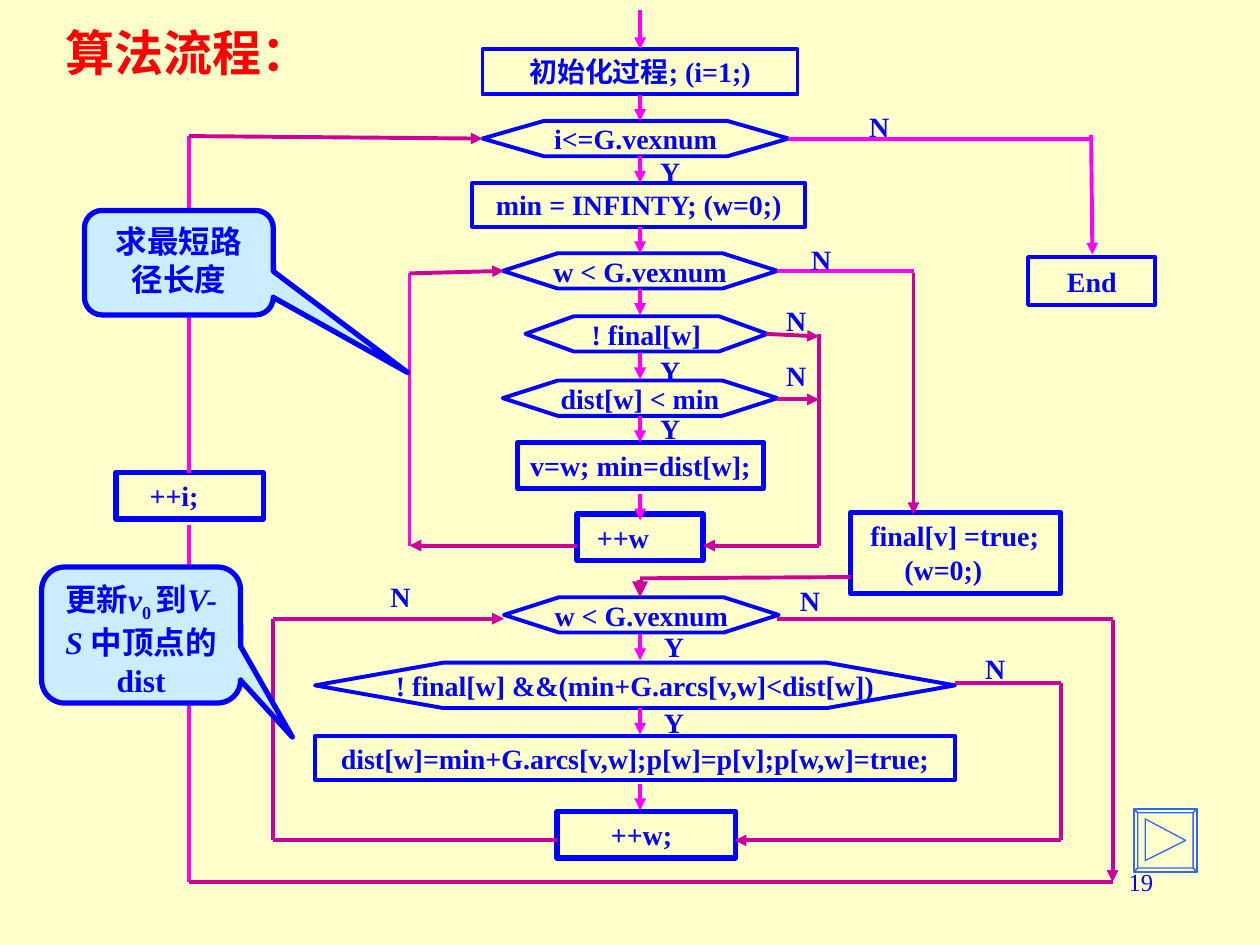
from lxml import etree
from pptx import Presentation
from pptx import util as u
from pptx.dml import color
from pptx.enum import shapes, text
from pptx.oxml import ns

COLORS = {"back": "FFFFCC", "blue": "0000FF", "pink": "FF00FF", "plum": "CC0099",
          "pale": "CCECFF", "red": "FF0000", "button": "3366FF"}
FONT = "Times New Roman"
PREP = shapes.MSO_SHAPE.FLOWCHART_PREPARATION
PROC = shapes.MSO_SHAPE.FLOWCHART_PROCESS
RECT = shapes.MSO_SHAPE.RECTANGLE
CALLOUT = shapes.MSO_SHAPE.ROUNDED_RECTANGULAR_CALLOUT
LEFT, CENTER, RIGHT = text.PP_ALIGN.LEFT, text.PP_ALIGN.CENTER, text.PP_ALIGN.RIGHT
MIDDLE, TOP = text.MSO_ANCHOR.MIDDLE, text.MSO_ANCHOR.TOP


def rgb(name):
    return color.RGBColor.from_string(COLORS[name])


class Flow:
    def __init__(self, s):
        self.s = s
        s.background.fill.solid()
        s.background.fill.fore_color.rgb = rgb("back")

    def run(self, p, words, size=16, hue="blue", bold=True, italic=False, sub=False):
        r = p.add_run()
        r.text = words
        f = r.font
        f.name, f.size, f.bold, f.italic = FONT, u.Pt(size), bold, italic
        f.color.rgb = rgb(hue)
        if sub:
            f._element.set("baseline", "-25000")

    def frame(self, sp, wrap, anchor):
        tf = sp.text_frame
        tf.word_wrap, tf.vertical_anchor = wrap, anchor
        tf.auto_size = text.MSO_AUTO_SIZE.NONE
        return tf

    def outline(self, sp, width, hue="blue", fill=None):
        sp.shadow.inherit = False
        sp.line.color.rgb = rgb(hue)
        sp.line.width = u.Pt(width)
        if fill:
            sp.fill.solid()
            sp.fill.fore_color.rgb = rgb(fill)
        else:
            sp.fill.background()

    def shape(self, kind, at, width, fill=None):
        sp = self.s.shapes.add_shape(kind, *map(u.Inches, at))
        self.outline(sp, width, fill=fill)
        return sp

    def step(self, kind, at, words):
        sp = self.shape(kind, at, 2.25)
        p = self.frame(sp, False, MIDDLE).paragraphs[0]
        p.alignment = CENTER
        self.run(p, words)

    def action(self, at, *lines):
        tf = self.frame(self.shape(RECT, at, 3), True, TOP)
        for i, (words, indent) in enumerate(lines):
            p = tf.add_paragraph() if i else tf.paragraphs[0]
            p.alignment = LEFT
            p._p.get_or_add_pPr().set("marL", str(u.Inches(indent)))
            self.run(p, words)

    def label(self, words, x, y):
        sp = self.s.shapes.add_textbox(*map(u.Inches, (x, y, 0.36, 0.37)))
        self.run(self.frame(sp, False, TOP).paragraphs[0], words)

    def line(self, x1, y1, x2, y2, hue="plum", arrow=False, width=2.25):
        c = self.s.shapes.add_connector(shapes.MSO_CONNECTOR.STRAIGHT,
                                        *map(u.Inches, (x1, y1, x2, y2)))
        c.line.color.rgb = rgb(hue)
        c.line.width = u.Pt(width)
        if arrow:
            etree.SubElement(c.line._get_or_add_ln(), ns.qn("a:tailEnd"), type="triangle")
        etree.SubElement(c._element.spPr, ns.qn("a:effectLst"))

    def callout(self, at, adjust, runs):
        sp = self.shape(CALLOUT, at, 3, "pale")
        for i, value in enumerate(adjust):
            sp.adjustments[i] = value
        p = self.frame(sp, True, TOP).paragraphs[0]
        p.alignment = CENTER
        for words, style in runs:
            self.run(p, words, 18, **style)

    def button(self, x, y, size, bevel):
        outer = [(x, y), (x + size, y), (x + size, y + size), (x, y + size)]
        a, b = bevel, size - bevel
        inner = [(x + a, y + a), (x + b, y + a), (x + b, y + b), (x + a, y + b)]
        paths = [outer]
        for i in range(4):
            j = (i + 1) % 4
            paths.append([outer[i], outer[j], inner[j], inner[i]])
        paths.append([(x + 0.09, y + 0.08), (x + 0.41, y + 0.25), (x + 0.09, y + 0.41)])
        paths = [[(u.Inches(px), u.Inches(py)) for px, py in path] for path in paths]
        fb = self.s.shapes.build_freeform(*paths[0][0])
        for i, path in enumerate(paths):
            if i:
                fb.move_to(*path[0])
            fb.add_line_segments(path[1:], close=True)
        self.outline(fb.convert_to_shape(), 0.75, "button")

    def title(self, words, at):
        sp = self.s.shapes.title
        sp.left, sp.top, sp.width, sp.height = map(u.Inches, at)
        p = self.frame(sp, True, MIDDLE).paragraphs[0]
        p.alignment = LEFT
        self.run(p, words, 28, "red")

    def number(self, words, at):
        sp = self.s.shapes.add_textbox(*map(u.Inches, at))
        p = self.frame(sp, True, TOP).paragraphs[0]
        p.alignment = RIGHT
        self.run(p, words, 14, bold=False)


def main():
    prs = Presentation()
    prs.slide_width, prs.slide_height = u.Inches(10), u.Inches(7.5)
    flow = Flow(prs.slides.add_slide(prs.slide_layouts[5]))
    flow.title("算法流程：", (0.42, 0.08, 2.17, 0.67))

    for kind, at, words in [
        (PROC, (3.83, 0.39, 2.5, 0.36), "初始化过程; (i=1;)"),
        (PREP, (3.83, 0.96, 2.43, 0.28), "i<=G.vexnum"),
        (PROC, (3.75, 1.45, 2.64, 0.35), "min = INFINTY; (w=0;)"),
        (PREP, (3.99, 2.01, 2.18, 0.28), "w < G.vexnum"),
        (PREP, (4.17, 2.51, 1.92, 0.28), "! final[w]"),
        (PREP, (3.99, 3.02, 2.18, 0.28), "dist[w] < min"),
        (PREP, (4, 4.74, 2.18, 0.28), "w < G.vexnum"),
        (PREP, (2.5, 5.26, 5.08, 0.36), "! final[w] &&(min+G.arcs[v,w]<dist[w])"),
        (PROC, (2.5, 5.84, 5.08, 0.35), "dist[w]=min+G.arcs[v,w];p[w]=p[v];p[w,w]=true;"),
        (PROC, (8.16, 2.04, 1.01, 0.38), "End"),
    ]:
        flow.step(kind, at, words)

    flow.action((4.11, 3.51, 1.95, 0.37), ("v=w; min=dist[w];", 0))
    flow.action((4.58, 4.08, 1, 0.37), ("++w", 0.06))
    flow.action((4.42, 6.44, 1.42, 0.37), ("++w;", 0.33))
    flow.action((0.92, 3.75, 1.17, 0.37), ("++i;", 0.17))
    flow.action((6.75, 4.07, 1.67, 0.64), ("final[v] =true;", 0.06), ("(w=0;)", 0.33))

    flow.line(5.08, 0.08, 5.08, 0.39, "pink", True)
    for y in (0.75, 1.24, 1.8, 2.29, 2.8, 3.3, 3.92, 5.03, 5.62, 6.22):
        flow.line(5.08, y, 5.08, y + 0.21, "pink", True)

    for ends in [(1.5, 1.08, 1.5, 3.75), (1.5, 4.17, 1.5, 7), (6.25, 1.1, 8.64, 1.1),
                 (6.17, 2.15, 7.25, 2.15), (3.25, 2.17, 3.25, 4.33)]:
        flow.line(*ends, hue="pink")
    flow.line(8.66, 1.07, 8.67, 2.02, "pink", True)

    for ends in [(6.5, 2.65, 6.5, 4.33), (5.08, 4.59, 6.75, 4.58), (7.58, 5.42, 8.42, 5.42),
                 (8.42, 5.42, 8.42, 6.67), (2.17, 6.67, 4.42, 6.67), (2.17, 4.91, 2.17, 6.67),
                 (6.17, 4.91, 8.83, 4.91), (1.5, 7, 8.83, 7)]:
        flow.line(*ends)
    for ends in [(1.5, 1.08, 3.83, 1.1), (3.25, 2.17, 4, 2.15), (6.08, 2.65, 6.5, 2.67),
                 (6.17, 3.17, 6.5, 3.17), (4.58, 4.33, 3.25, 4.33), (6.5, 4.33, 5.58, 4.33),
                 (7.25, 2.17, 7.25, 4.08), (8.42, 6.67, 5.83, 6.67), (2.17, 4.91, 4, 4.91),
                 (8.83, 4.92, 8.83, 7)]:
        flow.line(*ends, arrow=True)
    flow.line(5.08, 4.6, 5.08, 4.74, arrow=True, width=3)

    for x, y in [(6.8, 0.82), (6.34, 1.88), (6.14, 2.36), (6.14, 2.8),
                 (3, 4.55), (6.25, 4.58), (7.72, 5.12)]:
        flow.label("N", x, y)
    for x, y in [(5.14, 1.18), (5.14, 2.76), (5.14, 3.22), (5.17, 4.95), (5.17, 5.55)]:
        flow.label("Y", x, y)

    flow.callout((0.33, 4.5, 1.58, 1.08), (0.76, 0.75, 0.17), [
        ("更新", {}), ("v", {"italic": True}), ("0 ", {"sub": True}), ("到", {}),
        ("V- S ", {"italic": True}), ("中顶点的dist", {})])
    flow.callout((0.67, 1.67, 1.5, 0.83), (1.21, 1.05, 0.17), [("求最短路径长度", {})])
    flow.button(9, 6.42, 0.5, 0.03)
    flow.number("19", (7.17, 6.83, 2.08, 0.5))
    prs.save("out.pptx")


if __name__ == "__main__":
    main()
